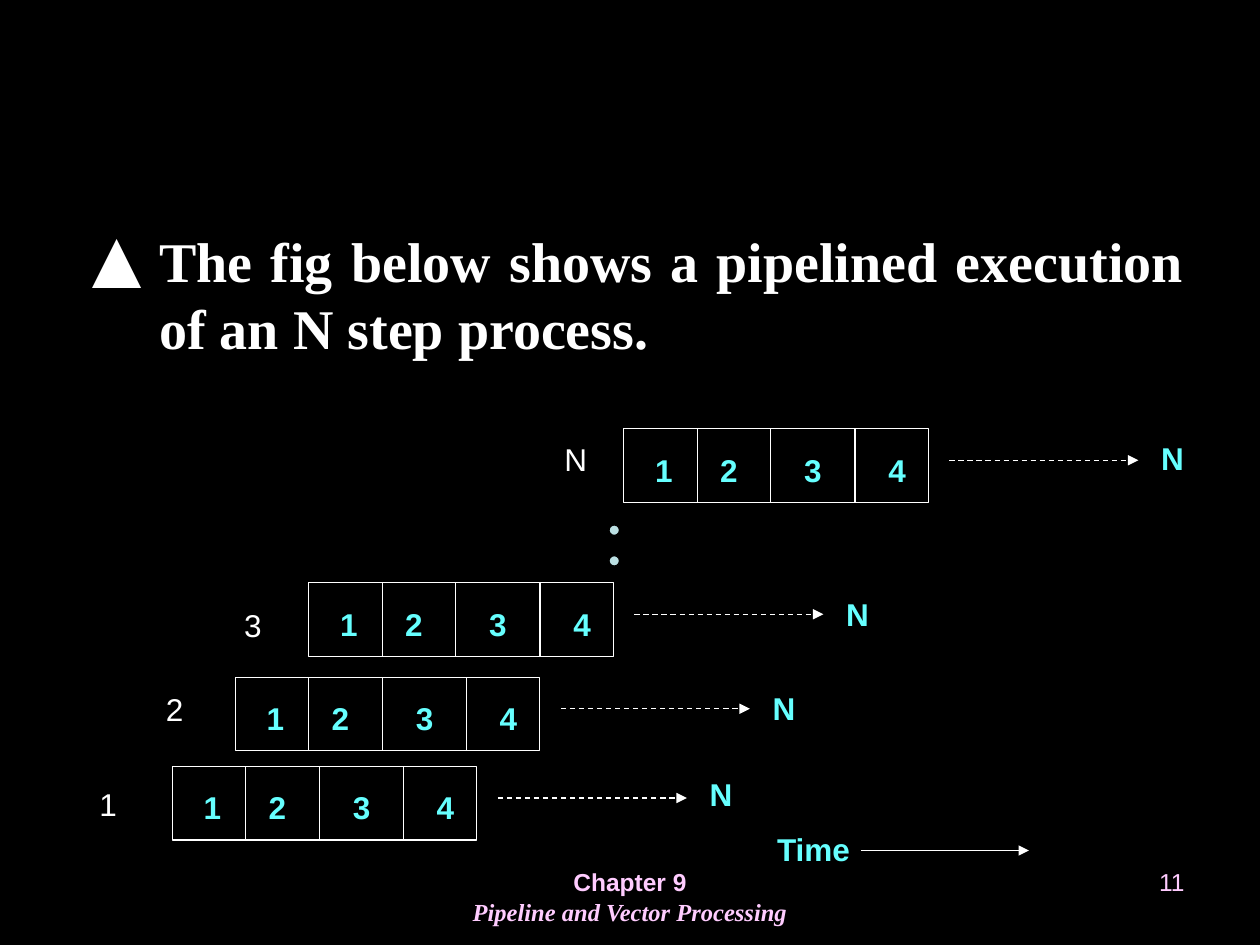
import pptx
import pptx.util
import pptx.dml.color
import pptx.enum.dml
import pptx.enum.shapes
import pptx.enum.text
from lxml import etree

Pt = pptx.util.Pt
RGB = pptx.dml.color.RGBColor
SHAPE = pptx.enum.shapes.MSO_SHAPE
ALIGN = pptx.enum.text.PP_ALIGN
NS = "http://schemas.openxmlformats.org/drawingml/2006/main"

COLORS = {"back": "000000", "white": "FFFFFF", "step": "66FFFF",
          "footer": "FFCCFF", "dot": "BBE0E3"}

STATEMENT = "The fig below shows a pipelined execution of an N step process."
# label, label left and top, bar left and top, top of the last step
PROCESSES = [
    ("1", 49.7, 445, 98.5, 438, 439.2),
    ("2", 87.8, 391, 134.5, 387, 390.2),
    ("3", 132.5, 342.7, 176.5, 333, 336.2),
    ("N", 315.4, 247.7, 356.5, 245, 247.2),
]
STEPS = [("1", 10.8), ("2", 48), ("3", 96), ("4", 144)]
DIVIDERS = [42, 84, 132]
BAR_W, BAR_H = 174, 42
DOT_TOPS = [300, 317.5]

STEP = {"size": Pt(18), "name": "Arial", "bold": True}
LABEL = {"size": Pt(18), "name": "Arial"}
FOOTER = {"size": Pt(14), "name": "Arial"}
CHAPTER = {**FOOTER, "bold": True}
SUBJECT = {"size": Pt(14), "name": "Times New Roman", "bold": True, "italic": True}
BODY = {"size": Pt(32), "name": "Times New Roman", "bold": True}

prs = pptx.Presentation()
prs.slide_width, prs.slide_height = Pt(720), Pt(540)
s = prs.slides.add_slide(prs.slide_layouts[6])


def rgb(name):
    return RGB.from_string(COLORS[name])


def add_text(x, y, w, h, lines, color, align=ALIGN.LEFT, wrap=True):
    """Add a text box; lines holds (text, font values) pairs."""
    tf = s.shapes.add_textbox(Pt(x), Pt(y), Pt(w), Pt(h)).text_frame
    tf.word_wrap = wrap
    for i, (text, font) in enumerate(lines):
        p = tf.add_paragraph() if i else tf.paragraphs[0]
        p.alignment = align
        r = p.add_run()
        r.text = text
        for key, value in font.items():
            setattr(r.font, key, value)
        r.font.color.rgb = rgb(color)
    return tf


def add_line(x1, y1, x2, y2, arrow=False, dashed=False):
    c = s.shapes.add_connector(pptx.enum.shapes.MSO_CONNECTOR.STRAIGHT,
                               Pt(x1), Pt(y1), Pt(x2), Pt(y2))
    c.line.color.rgb = rgb("white")
    c.line.width = Pt(0.75)
    if dashed:
        c.line.dash_style = pptx.enum.dml.MSO_LINE.DASH
    if arrow:
        etree.SubElement(c.line._get_or_add_ln(), f"{{{NS}}}tailEnd", type="triangle")
    etree.SubElement(c._element.spPr, f"{{{NS}}}effectLst")


def add_outline(kind, x, y, w, h, line, fill=None):
    sp = s.shapes.add_shape(kind, Pt(x), Pt(y), Pt(w), Pt(h))
    sp.shadow.inherit = False
    if fill:
        sp.fill.solid()
        sp.fill.fore_color.rgb = rgb(fill)
    else:
        sp.fill.background()
    sp.line.color.rgb = rgb(line)
    sp.line.width = Pt(0.75)


def add_process(label, label_x, label_y, x, y, last_y):
    add_outline(SHAPE.RECTANGLE, x, y, BAR_W, BAR_H, "white")
    for dx in DIVIDERS:
        add_line(x + dx, y, x + dx, y + BAR_H)
    for text, dx in STEPS:
        add_text(x + dx, y + 9, 24.5, 29, [(text, STEP)], "step", wrap=False)
    add_line(x + 186, y + 18, x + 294, y + 18, arrow=True, dashed=True)
    add_text(x + 300, last_y, 27.5, 29, [("N", STEP)], "step", wrap=False)
    add_text(label_x, label_y, 56, 29, [(label, LABEL)], "white")


s.background.fill.solid()
s.background.fill.fore_color.rgb = rgb("back")

add_text(246, 492, 228, 37.5,
         [("Chapter 9", CHAPTER), ("Pipeline and Vector Processing", SUBJECT)],
         "footer", ALIGN.CENTER)
add_text(516, 492, 168, 37.5, [("11", FOOTER)], "footer", ALIGN.RIGHT)

tf = add_text(36, 126, 648, 356, [(STATEMENT, BODY)], "white", ALIGN.JUSTIFY)
pPr = tf.paragraphs[0]._p.get_or_add_pPr()
pPr.set("marL", str(Pt(48)))
pPr.set("indent", str(-Pt(48)))
color = etree.SubElement(pPr, f"{{{NS}}}buClr")
etree.SubElement(color, f"{{{NS}}}srgbClr", val=COLORS["white"])
etree.SubElement(pPr, f"{{{NS}}}buSzPct", val="150000")
etree.SubElement(pPr, f"{{{NS}}}buFont", typeface="Times New Roman")
etree.SubElement(pPr, f"{{{NS}}}buChar", char="▲")

for process in PROCESSES:
    add_process(*process)
for y in DOT_TOPS:
    add_outline(SHAPE.OVAL, 348, y, 6, 6, "back", "dot")

add_text(437, 471, 66, 29, [("Time", STEP)], "step", wrap=False)
add_line(492, 486, 588, 486, arrow=True)

prs.save("out.pptx")
